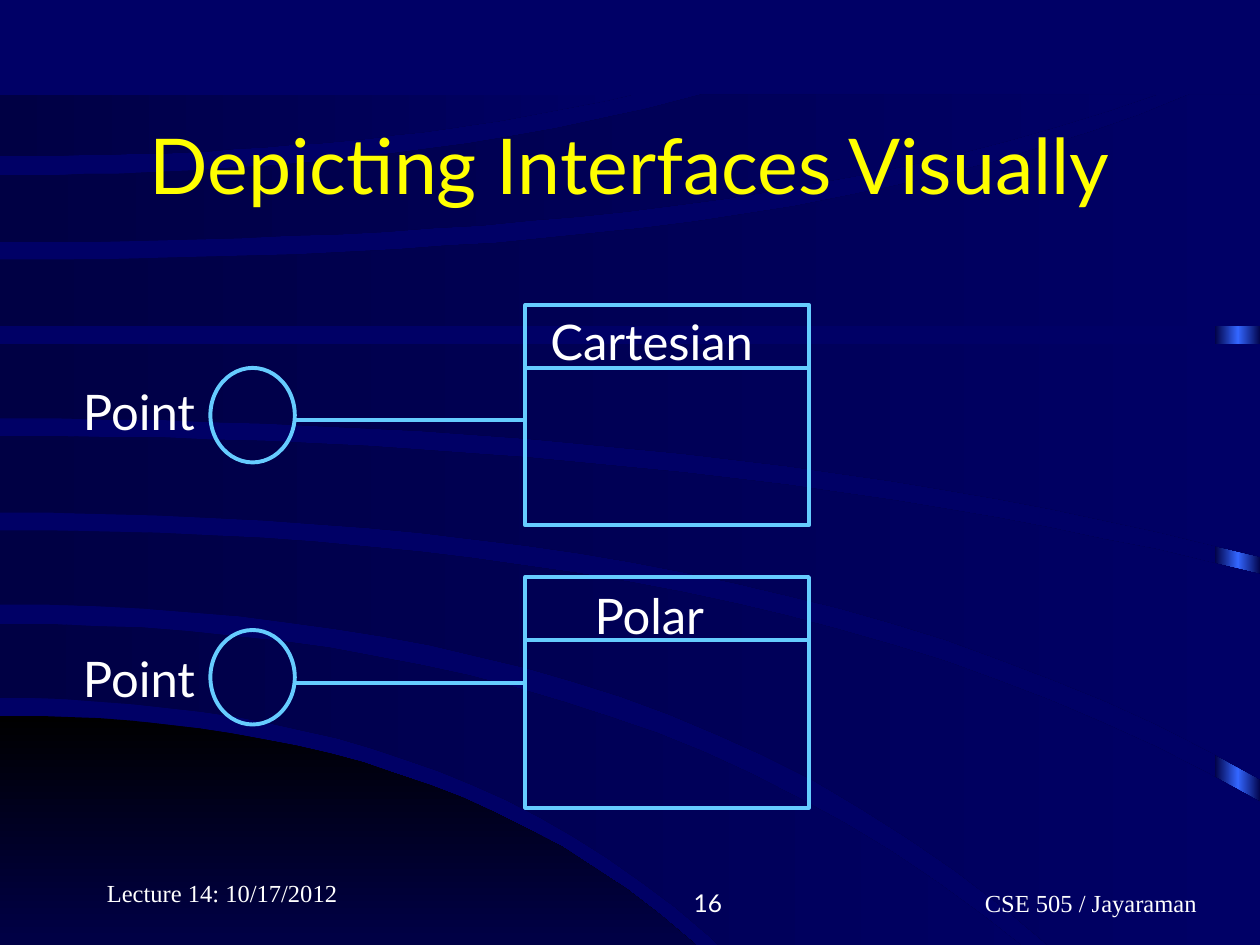
import copy

import pptx
import pptx.dml.color
import pptx.enum.shapes
import pptx.enum.text
import pptx.oxml
import pptx.oxml.ns
import pptx.util

COLORS = {
    "back": "000066", "dark": "000044", "black": "000000", "glow": "3366FF",
    "line": "66CCFF", "text": "FFFFFF", "title": "FFFF00",
}
ALIGN = pptx.enum.text.PP_ALIGN
ANCHOR = pptx.enum.text.MSO_ANCHOR
SHAPE = pptx.enum.shapes.MSO_SHAPE

TITLE = "Depicting Interfaces Visually"
DATE = "Lecture 14: 10/17/2012"
NUMBER = "16"
COURSE = "CSE 505 / Jayaraman"

CLASSES = [
    {"name": "Cartesian", "name_at": (4.27, 2.42, 1.92, 0.57), "top": 2.42, "height": 1.75,
     "interface": "Point", "label_top": 2.98, "circle_top": 2.92, "link": 3.33},
    {"name": "Polar", "name_at": (4.62, 4.6, 1.15, 0.57), "top": 4.58, "height": 1.83,
     "interface": "Point", "label_top": 5.1, "circle_top": 5, "link": 5.42},
]
BOX_LEFT, BOX_WIDTH, HEAD = 4.17, 2.25, 0.5
CIRCLE_LEFT, CIRCLE_WIDTH, CIRCLE_HEIGHT = 1.67, 0.67, 0.75

# fmt: off
HILL = ((5.68, (4.63, 6.83), (6.29, 8.27)), (8.27, (3, 8.27), (6.29, 8.27)))
BANDS = [
    ((4.95, (4.73, 5.65), (8.94, 8.25)), (5.54, (4.17, 6.43), (6.43, 8.25))),
    ((4.21, (5.71, 4.76), (10.01, 6.37)), (4.8, (5.98, 5.96), (9.1, 8.25))),
    ((3.46, (5.67, 3.78), (10.01, 4.56)), (4.07, (6.11, 4.69), (10.01, 6.19))),
    ((2.73, (5, 2.73), (10.01, 2.73)), (3.32, (6.08, 3.68), (10.01, 4.42))),
    ((2.06, (5.98, 1.69), (9.44, 0.75)), (2.59, (5, 2.59), (10.01, 2.59))),
    ((1.39, (3.48, 1.17), (5.57, 0.75)), (1.92, (5.78, 1.57), (9.18, 0.75))),
    ((0.75, (2.5, 0.75), (5.02, 0.75)), (1.24, (2.9, 1.1), (5.02, 0.75))),
]
STEPS = 24


def cm(inches):
    return pptx.util.Cm(inches * 2.54)


def rgb(name):
    return pptx.dml.color.RGBColor.from_string(COLORS[name])


def add_text(s, text, at, size=28, font="Lato", color="text", align=ALIGN.LEFT,
             anchor=ANCHOR.TOP, right=0.1):
    tf = s.shapes.add_textbox(*map(cm, at)).text_frame
    tf.word_wrap = True
    tf.vertical_anchor = anchor
    tf.margin_right = cm(right)
    p = tf.paragraphs[0]
    p.alignment = align
    r = p.add_run()
    r.text = text
    r.font.size = pptx.util.Pt(size)
    r.font.name = font
    r.font.color.rgb = rgb(color)


def shade(sp, names, angle=0):
    sp.shadow.inherit = False
    sp.line.fill.background()
    sp.fill.gradient()
    sp.fill.gradient_angle = angle
    gs_list = sp.element.spPr.find(".//" + pptx.oxml.ns.qn("a:gsLst"))
    while len(gs_list) < len(names):
        gs_list.insert(1, copy.deepcopy(gs_list[0]))
    for i, (stop, name) in enumerate(zip(sp.fill.gradient_stops, names)):
        stop.position = i / (len(names) - 1)
        stop.color.rgb = rgb(name)


def curve(start, middle, end):
    (x1, y1), (x2, y2) = middle, end
    k1, k2 = (y1 - start) / x1**2, (y2 - start) / x2**2
    b = (k2 - k1) / (x2**2 - x1**2)
    a = k1 - b * x1**2
    xs = [x2 * i / STEPS for i in range(STEPS + 1)]
    return [(x, start + a * x**2 + b * x**4) for x in xs]


def add_area(s, edges, names, angle=0):
    upper, lower = (curve(*edge) for edge in edges)
    near, far = sorted([upper[-1], lower[-1]])
    outline = upper + [(far[0], near[1])] + lower[::-1]
    points = [(x * 100, y * 100) for x, y in outline]
    builder = s.shapes.build_freeform(*points[0], scale=cm(0.01))
    builder.add_line_segments(points[1:], close=True)
    shade(builder.convert_to_shape(), names, angle)


def set_line(sp):
    sp.line.color.rgb = rgb("line")
    sp.line.width = pptx.util.Pt(2.25)


def add_outline(s, kind, at):
    sp = s.shapes.add_shape(kind, *map(cm, at))
    sp.shadow.inherit = False
    sp.fill.background()
    set_line(sp)


def add_line(s, x1, x2, y):
    c = s.shapes.add_connector(pptx.enum.shapes.MSO_CONNECTOR.STRAIGHT, cm(x1), cm(y), cm(x2), cm(y))
    set_line(c)
    c.element.spPr.append(pptx.oxml.parse_xml(f'<a:effectLst {pptx.oxml.ns.nsdecls("a")}/>'))


def add_class(s, item):
    top = item["top"]
    add_outline(s, SHAPE.RECTANGLE, (BOX_LEFT, top, BOX_WIDTH, item["height"]))
    add_line(s, BOX_LEFT, BOX_LEFT + BOX_WIDTH, top + HEAD)
    add_text(s, item["name"], item["name_at"])
    add_line(s, CIRCLE_LEFT + CIRCLE_WIDTH, BOX_LEFT, item["link"])
    add_outline(s, SHAPE.OVAL, (CIRCLE_LEFT, item["circle_top"], CIRCLE_WIDTH, CIRCLE_HEIGHT))
    add_text(s, item["interface"], (0.56, item["label_top"], 1.15, 0.57))


def main():
    prs = pptx.Presentation()
    prs.slide_width, prs.slide_height = cm(10), cm(7.5)
    s = prs.slides.add_slide(prs.slide_layouts[6])
    s.background.fill.solid()
    s.background.fill.fore_color.rgb = rgb("back")

    strip = s.shapes.add_shape(SHAPE.RECTANGLE, *map(cm, (9.64, 0.77, 0.37, 7.5)))
    shade(strip, ["dark", "glow", "dark"])
    add_area(s, HILL, ["black", "back"], angle=270)
    for band in BANDS:
        add_area(s, band, ["dark", "back"])

    add_text(s, TITLE, (0.75, 0.67, 8.5, 1.25), size=44, color="title",
             align=ALIGN.CENTER, anchor=ANCHOR.MIDDLE)
    for item in CLASSES:
        add_class(s, item)
    add_text(s, DATE, (0.75, 6.75, 2.08, 0.5), size=14, font="Times New Roman", anchor=ANCHOR.BOTTOM)
    add_text(s, NUMBER, (3.75, 6.83, 2.08, 0.5), size=14, align=ALIGN.RIGHT, anchor=ANCHOR.BOTTOM)
    add_text(s, COURSE, (6.58, 6.83, 3.17, 0.5), size=14, font="Times New Roman",
             align=ALIGN.RIGHT, anchor=ANCHOR.BOTTOM, right=0.25)
    prs.save("out.pptx")


if __name__ == "__main__":
    main()
